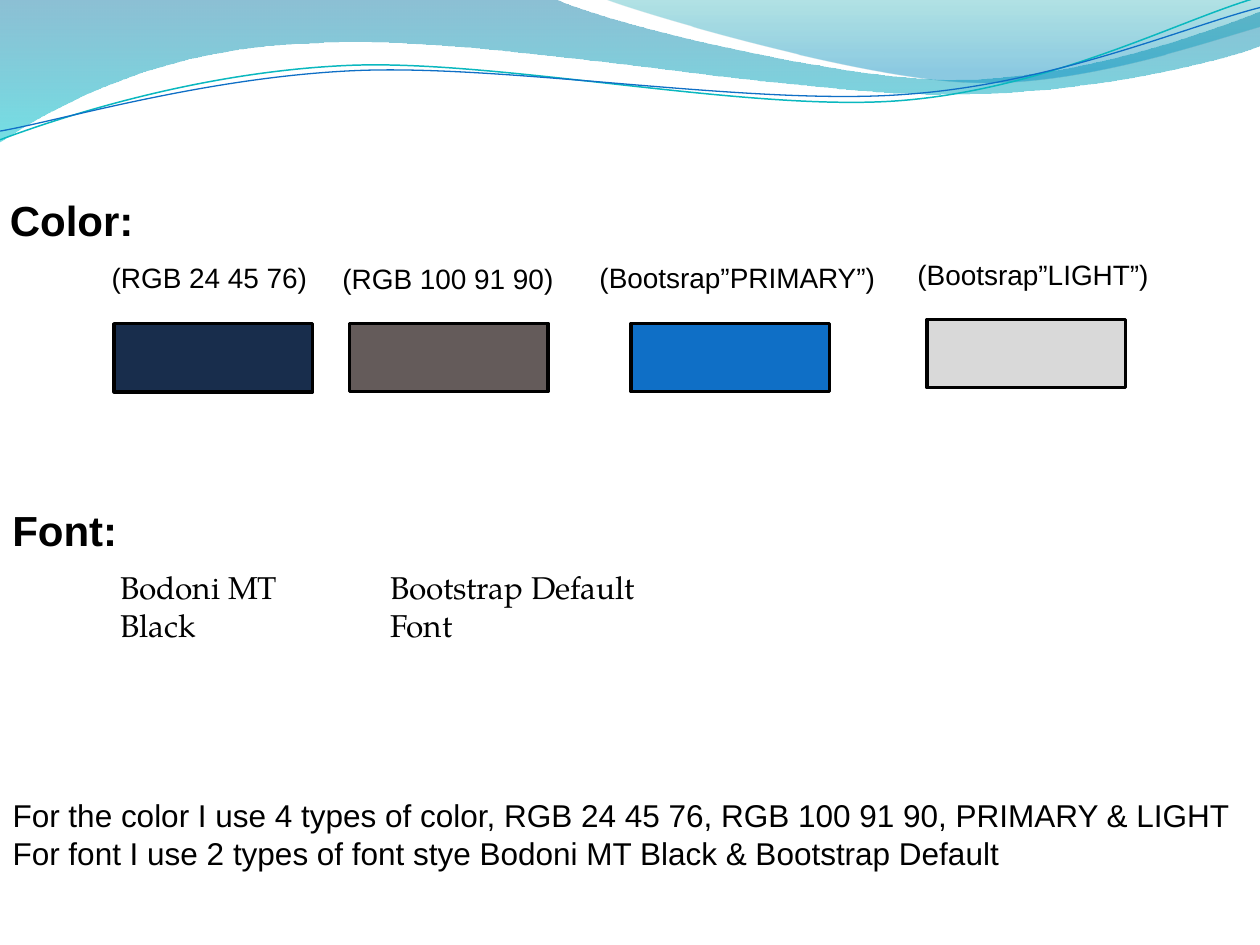
from dataclasses import dataclass

from pptx import Presentation
from pptx.dml.color import RGBColor
from pptx.enum import shapes, text
from pptx.oxml.ns import qn
from pptx.oxml.xmlchemy import OxmlElement
from pptx.util import Pt

BLACK = RGBColor(0x00, 0x00, 0x00)
NAVY = RGBColor(0x18, 0x2D, 0x4C)
TAUPE = RGBColor(0x64, 0x5B, 0x5A)
PRIMARY = RGBColor(0x0F, 0x6F, 0xC6)
LIGHT = RGBColor(0xD9, 0xD9, 0xD9)
TURQUOISE = RGBColor(0x0A, 0xB8, 0xBF)
DEEP_BLUE = RGBColor(0x00, 0x74, 0xA1)
AQUA = RGBColor(0x00, 0xC6, 0xCF)
TEAL = RGBColor(0x00, 0xA1, 0xA9)
SKY = RGBColor(0x00, 0x8B, 0xBF)

SANS = "Arial"
SERIF = "TeX Gyre Pagella"
UNITS_PER_POINT = 100


@dataclass
class Stop:
    position: float
    color: RGBColor
    opacity: int


@dataclass
class Wave:
    """Segments hold one point for a straight line, three for a Bezier curve."""
    start: tuple
    segments: list
    stops: tuple = ()
    line_color: RGBColor = None
    line_width: float = 0


@dataclass
class Swatch:
    label: str
    color: RGBColor
    left: float
    top: float
    label_left: float
    label_top: float
    label_width: float


WAVES = [
    Wave((0, 0), [
        [(316.8, -0.7)],
        [(342.7, 12.2), (478.1, 45.4), (545.8, 45.4)],
        [(614.2, 45.4), (689.8, 18.7), (720, 6.5)],
        [(720.7, 25.9)],
        [(707.8, 31.7), (626.4, 54.7), (537.1, 54)],
        [(447.8, 54), (275, 20.2), (185, 24.5)],
        [(92.9, 25.9), (33.1, 59.8), (-0.7, 81.4)],
    ], stops=(Stop(0, DEEP_BLUE, 45), Stop(1, AQUA, 55))),
    Wave((344.9, -0.7), [
        [(366.5, 7.9), (491, 44.6), (553.7, 46.8)],
        [(616.3, 49.7), (691.9, 23), (720, 15.1)],
        [(720, 0)],
    ], stops=(Stop(0, TEAL, 30), Stop(0.8, SKY, 45))),
    Wave((0, 79.9), [
        [(34.6, 67), (113.8, 41), (199.4, 37.4)],
        [(284.4, 33.8), (427, 64.1), (513.4, 57.6)],
        [(599.8, 51.1), (675.4, 10.8), (718.6, -1.4)],
    ], line_color=TURQUOISE, line_width=0.85),
    Wave((0, 74.9), [
        [(33.8, 69.1), (118.1, 43.9), (203.8, 40.3)],
        [(290.2, 36.7), (429.8, 60.5), (516.2, 54)],
        [(601.9, 48.2), (677.5, 15.1), (720, 4.3)],
    ], line_color=PRIMARY, line_width=0.75),
]

SWATCHES = [
    Swatch("(RGB 24 45 76)", NAVY, 65.2, 185, 56.7, 145.4, 130.3),
    Swatch("(RGB 100 91 90)", TAUPE, 199.7, 184.8, 188.6, 145.8, 141.1),
    Swatch("(Bootsrap”PRIMARY”)", PRIMARY, 360.7, 184.8, 335.5, 145.4, 198.7),
    Swatch("(Bootsrap”LIGHT”)", LIGHT, 529.7, 182.6, 517.2, 143.9, 198.7),
]

SUMMARY = [
    "For the color I use 4 types of color, RGB 24 45 76, RGB 100 91 90, PRIMARY & LIGHT",
    "For font I use 2 types of font stye Bodoni MT Black & Bootstrap Default",
]


def add_wave(slide, wave: Wave) -> None:
    points = [wave.start] + [point for segment in wave.segments for point in segment]
    scaled = [(x * UNITS_PER_POINT, y * UNITS_PER_POINT) for x, y in points]
    builder = slide.shapes.build_freeform(*scaled[0], scale=Pt(1) / UNITS_PER_POINT)
    builder.add_line_segments(scaled[1:], close=bool(wave.stops))
    shape = builder.convert_to_shape()
    bend_segments(shape, wave.segments)
    shape.shadow.inherit = False
    if wave.stops:
        shape.line.fill.background()
        fill_gradient(shape, wave.stops)
    else:
        shape.fill.background()
        shape.line.color.rgb = wave.line_color
        shape.line.width = Pt(wave.line_width)


def bend_segments(shape, segments: list) -> None:
    """Turn each run of three straight lines into one cubic Bezier curve."""
    lines = iter(list(shape._element.iter(qn("a:lnTo"))))
    for segment in segments:
        group = [next(lines) for _ in segment]
        if len(group) == 3:
            curve = OxmlElement("a:cubicBezTo")
            group[0].addprevious(curve)
            for line in group:
                curve.append(line[0])
                line.getparent().remove(line)


def fill_gradient(shape, stops: tuple) -> None:
    """Fill from top to bottom with partly transparent colours."""
    shape.fill.gradient()
    shape.fill.gradient_angle = 270
    for gradient_stop, stop in zip(shape.fill.gradient_stops, stops):
        gradient_stop.position = stop.position
        gradient_stop.color.rgb = stop.color
    for color, stop in zip(shape._element.iter(qn("a:srgbClr")), stops):
        alpha = OxmlElement("a:alpha")
        alpha.set("val", str(stop.opacity * 1000))
        color.append(alpha)


def write_text(shape, *lines: str, left: float, top: float, width: float, height: float,
               size: float, font: str = SANS, bold: bool = False) -> None:
    shape.left, shape.top = Pt(left), Pt(top)
    shape.width, shape.height = Pt(width), Pt(height)
    frame = shape.text_frame
    frame.text = "\n".join(lines)
    frame.word_wrap = True
    frame.auto_size = text.MSO_AUTO_SIZE.NONE
    frame.vertical_anchor = text.MSO_ANCHOR.TOP
    for paragraph in frame.paragraphs:
        paragraph.alignment = text.PP_ALIGN.LEFT
        if shape.is_placeholder:
            clear_list_format(paragraph)
        for run in paragraph.runs:
            run.font.name = font
            run.font.size = Pt(size)
            run.font.bold = bold
            run.font.color.rgb = BLACK


def clear_list_format(paragraph) -> None:
    paragraph.space_before = Pt(0)
    properties = paragraph._p.get_or_add_pPr()
    properties.set("marL", "0")
    properties.set("indent", "0")
    properties.append(OxmlElement("a:buNone"))


def new_text_box(slide):
    return slide.shapes.add_textbox(0, 0, 0, 0)


def bring_to_front(slide, shape) -> None:
    slide.shapes._spTree.append(shape._element)


def add_rectangle(slide, swatch: Swatch) -> None:
    rectangle = slide.shapes.add_shape(
        shapes.MSO_SHAPE.RECTANGLE, Pt(swatch.left), Pt(swatch.top), Pt(113.4), Pt(39))
    rectangle.shadow.inherit = False
    rectangle.fill.solid()
    rectangle.fill.fore_color.rgb = swatch.color
    rectangle.line.color.rgb = BLACK
    rectangle.line.width = Pt(2)


def add_label(slide, swatch: Swatch) -> None:
    write_text(new_text_box(slide), swatch.label, left=swatch.label_left,
               top=swatch.label_top, width=swatch.label_width, height=26.6, size=16)


def main() -> None:
    presentation = Presentation()
    presentation.slide_width, presentation.slide_height = Pt(720), Pt(540)
    slide = presentation.slides.add_slide(presentation.slide_layouts[1])
    title, body = slide.placeholders
    for wave in WAVES:
        add_wave(slide, wave)
    bring_to_front(slide, title)
    write_text(title, "Color:", left=-1.6, top=107.3, width=93.6, height=36, size=24, bold=True)
    for draw in (add_rectangle, add_label):
        for swatch in SWATCHES:
            draw(slide, swatch)
    write_text(new_text_box(slide), "Bodoni MT Black", left=61.6, top=321.1, width=150.4,
               height=29, size=18, font=SERIF)
    write_text(new_text_box(slide), "Font:", left=0, top=284.6, width=93.6, height=36,
               size=24, bold=True)
    write_text(new_text_box(slide), "Bootstrap Default Font", left=215.8, top=321.1,
               width=193.4, height=29, size=18, font=SERIF)
    bring_to_front(slide, body)
    write_text(body, *SUMMARY, left=0, top=451.4, width=716.4, height=51, size=18)
    presentation.save("out.pptx")


if __name__ == "__main__":
    main()
